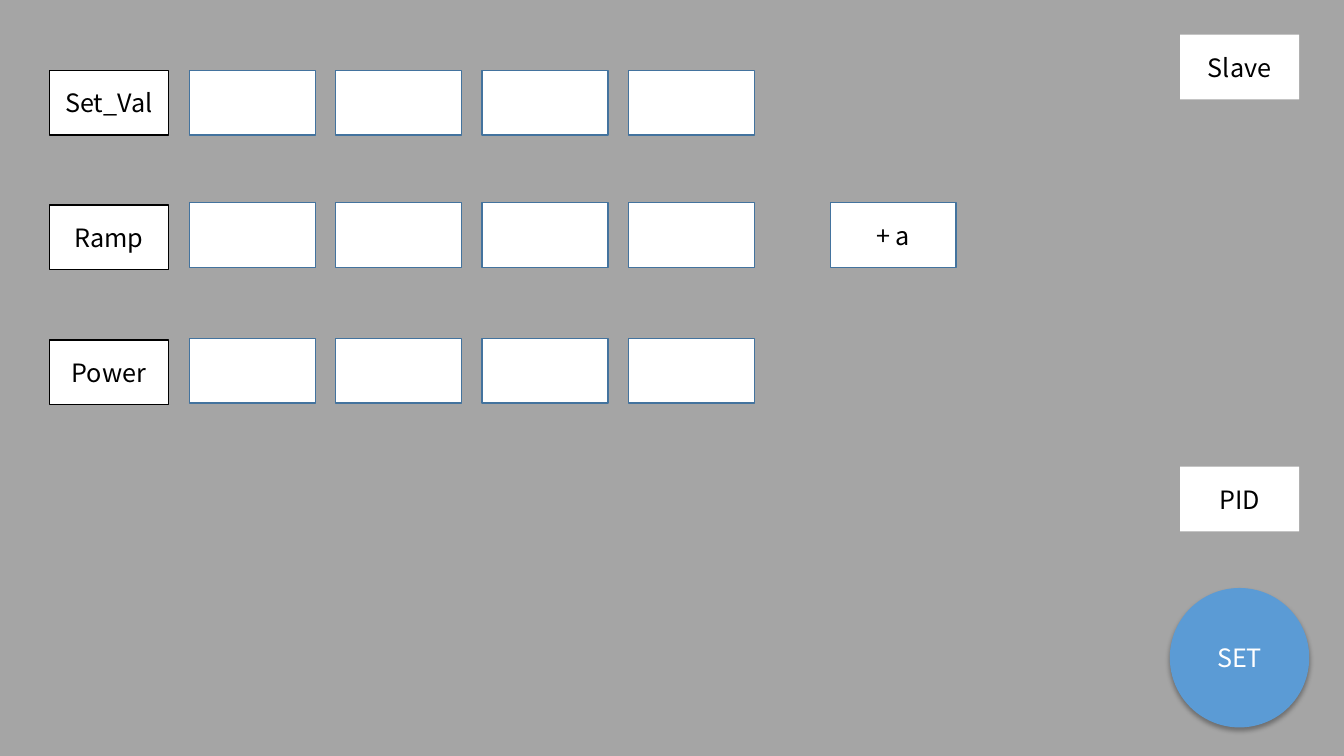
"""Build a control panel slide with labelled value rows and buttons."""
import dataclasses
import typing

import lxml.etree
import pptx
import pptx.dml.color
import pptx.enum.shapes
import pptx.enum.text
import pptx.oxml.ns
import pptx.util

Pt = pptx.util.Pt
RGB = pptx.dml.color.RGBColor.from_string
SHAPE = pptx.enum.shapes.MSO_SHAPE
COLORS = {
    "panel": "A5A5A5",
    "box": "FFFFFF",
    "set": "5B9BD5",
    "cell_line": "43739E",
    "black": "000000",
    "white": "FFFFFF",
}
FONT = {"name": "Noto Sans CJK KR", "size": Pt(18)}
FRAME = {"word_wrap": True, "vertical_anchor": pptx.enum.text.MSO_ANCHOR.MIDDLE}

BOX_HEIGHT = 46.2
LABEL_LEFT, LABEL_TOP, LABEL_WIDTH, LABEL_STEP = 35.2, 50.2, 85, 96.3
CELL_LEFT, CELL_WIDTH, CELL_STEP, CELL_COUNT = 135.2, 90, 104.6, 4
BUTTON_LEFT = 842.9
ROWS = {"Set_Val": 50.2, "Ramp": 144.8, "Power": 241.8}


@dataclasses.dataclass(frozen=True)
class Control:
    """A filled control on the panel, with lengths in points."""

    left: float
    top: float
    width: float
    height: float = BOX_HEIGHT
    text: str = ""
    fill: str = "box"
    line: typing.Optional[str] = None
    color: str = "black"
    preset: SHAPE = SHAPE.RECTANGLE
    raised: bool = False


def add_shadow(sp: pptx.shapes.autoshape.Shape) -> None:
    """Give a shape a soft shadow below it."""
    qn = pptx.oxml.ns.qn
    effects = sp._element.spPr.find(qn("a:effectLst"))
    shadow = lxml.etree.SubElement(
        effects, qn("a:outerShdw"), blurRad=str(Pt(3.5)), dist=str(Pt(2.2)), dir="5400000"
    )
    black = lxml.etree.SubElement(shadow, qn("a:srgbClr"), val=COLORS["black"])
    lxml.etree.SubElement(black, qn("a:alpha"), val="32000")


def write_text(sp: pptx.shapes.autoshape.Shape, text: str, color: str) -> None:
    """Write one centred line of text in a shape."""
    tf = sp.text_frame
    for name, value in FRAME.items():
        setattr(tf, name, value)
    p = tf.paragraphs[0]
    p.alignment = pptx.enum.text.PP_ALIGN.CENTER
    r = p.add_run()
    r.text = text
    for name, value in FONT.items():
        setattr(r.font, name, value)
    r.font.color.rgb = RGB(COLORS[color])


def draw(slide: pptx.slide.Slide, control: Control) -> None:
    """Draw one control on the slide."""
    box = (control.left, control.top, control.width, control.height)
    sp = slide.shapes.add_shape(control.preset, *map(Pt, box))
    sp.shadow.inherit = False
    sp.fill.solid()
    sp.fill.fore_color.rgb = RGB(COLORS[control.fill])
    if control.line:
        sp.line.color.rgb = RGB(COLORS[control.line])
        sp.line.width = Pt(1)
    else:
        sp.line.fill.background()
    if control.raised:
        add_shadow(sp)
    if control.text:
        write_text(sp, control.text, control.color)


def panel_controls() -> typing.Iterator[Control]:
    """Yield the panel, its buttons and its value rows, back to front."""
    yield Control(0, 0, 960, 540, fill="panel")
    for text, top in {"Slave": 24.8, "PID": 333.4}.items():
        yield Control(BUTTON_LEFT, top, LABEL_WIDTH, text=text)
    yield Control(835.6, 420, 99.6, 99.6, "SET", "set",
                  color="white", preset=SHAPE.OVAL, raised=True)
    for row, (text, top) in enumerate(ROWS.items()):
        yield Control(LABEL_LEFT, LABEL_TOP + row * LABEL_STEP, LABEL_WIDTH,
                      text=text, line="black")
        for column in range(CELL_COUNT):
            yield Control(CELL_LEFT + column * CELL_STEP, top, CELL_WIDTH, line="cell_line")
    yield Control(593, ROWS["Ramp"], CELL_WIDTH, text="+ a", line="cell_line")


def main() -> None:
    """Build and save the presentation."""
    prs = pptx.Presentation()
    prs.slide_width, prs.slide_height = Pt(960), Pt(540)
    slide = prs.slides.add_slide(prs.slide_layouts[6])
    for control in panel_controls():
        draw(slide, control)
    prs.save("out.pptx")


main()
